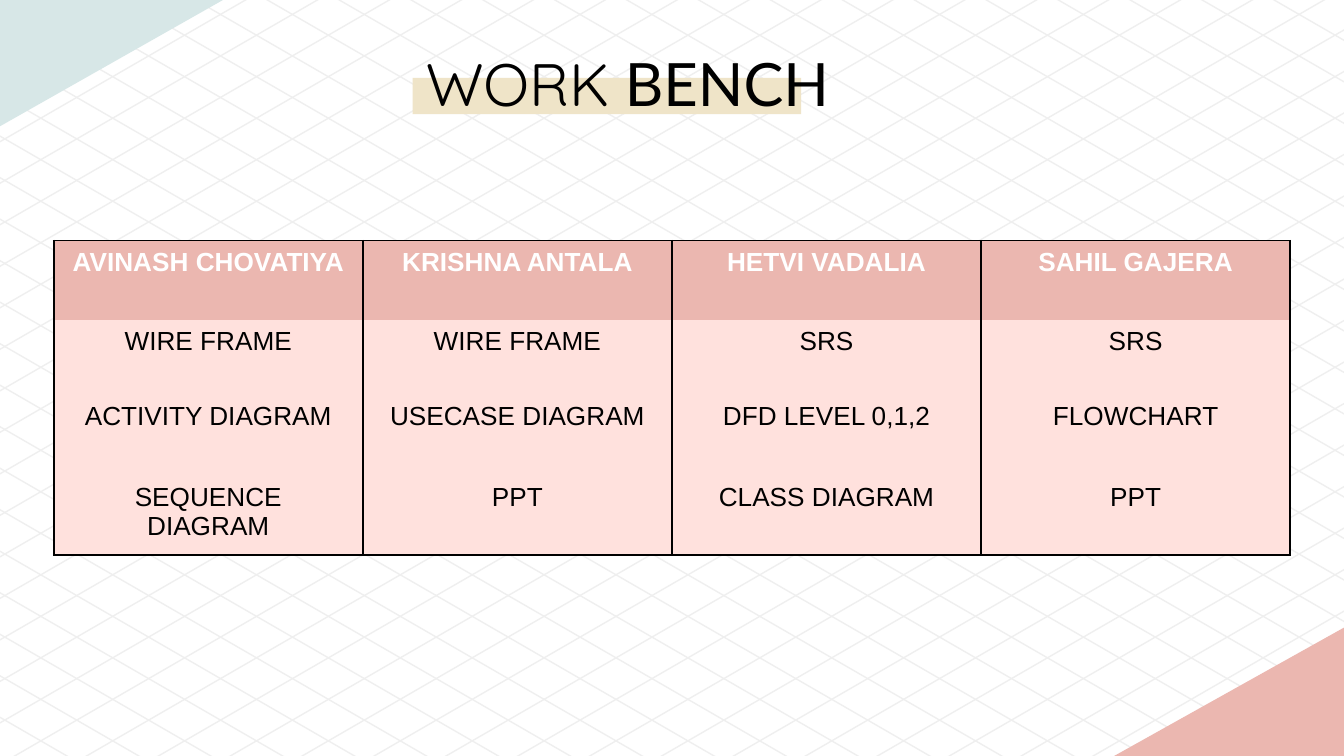
from dataclasses import dataclass
from math import radians, tan

from lxml.etree import SubElement
from pptx import Presentation
from pptx.dml.color import RGBColor
from pptx.enum.shapes import MSO_CONNECTOR as Connector, MSO_SHAPE as Shape
from pptx.enum.text import MSO_AUTO_SIZE as AutoSize, PP_ALIGN as Align
from pptx.oxml.ns import qn
from pptx.util import Inches, Pt

WIDTH = 10
HEIGHT = WIDTH * 9 / 16
TITLE = [("WORK", "Quicksand"), (" BENCH", "Lato")]
TASKS = [
    ["AVINASH CHOVATIYA", "KRISHNA ANTALA", "HETVI VADALIA", "SAHIL GAJERA"],
    ["WIRE FRAME", "WIRE FRAME", "SRS", "SRS"],
    ["ACTIVITY DIAGRAM", "USECASE DIAGRAM", "DFD LEVEL 0,1,2", "FLOWCHART"],
    ["SEQUENCE\nDIAGRAM", "PPT", "CLASS DIAGRAM", "PPT"],
]
ROW_HEIGHTS = [0.59, 0.56, 0.6, 0.59]
COLUMN_WIDTH = 2.3
CORNERS = [
    ([(0, 0.94), (1.66, 0), (0, 0)], "D7E7E7"),
    ([(WIDTH, 4.67), (8.29, HEIGHT), (WIDTH, HEIGHT)], "EBB7B0"),
]
GRID = {"count": 37, "first": 0.3, "last": 11.42, "slope": tan(radians(30)),
        "left": -0.36, "right": 10.1, "top": -0.12, "bottom": 5.87,
        "mirror_shift": 0.25, "mirror_height": 5.63}


@dataclass
class Theme:
    """Colours, fonts and type sizes of the slide."""

    grid: str = "EFEFEF"
    header: str = "EBB7B0"
    body: str = "FFE1DD"
    highlight: str = "EFE4C8"
    ink: str = "000000"
    light: str = "FFFFFF"
    table_font: str = "Arial"
    title_size: float = 32
    table_size: float = 14
    grid_width: float = 0.75
    border_width: float = 1


THEME = Theme()


def color(value):
    """Turn a hex string into a colour."""
    return RGBColor.from_string(value)


def add_text(paragraph, text, *, font, size, ink=THEME.ink, bold=False, align=None):
    """Add one formatted run to a paragraph."""
    paragraph.alignment = align
    run = paragraph.add_run()
    run.text = text
    run.font.name, run.font.size, run.font.bold = font, Pt(size), bold
    run.font.color.rgb = color(ink)


def paint(shape, fill):
    """Give a shape a plain fill without line or shadow."""
    shape.shadow.inherit = False
    shape.fill.solid()
    shape.fill.fore_color.rgb = color(fill)
    shape.line.fill.background()


def add_line(slide, start, end):
    """Draw one thin grid line."""
    line = slide.shapes.add_connector(
        Connector.STRAIGHT, *(Inches(value) for value in (*start, *end)))
    line.line.color.rgb = color(THEME.grid)
    line.line.width = Pt(THEME.grid_width)
    SubElement(line._element.spPr, qn("a:effectLst"))


def add_grid(slide):
    """Draw evenly spaced slanted lines, then their mirrored set."""
    step = (GRID["last"] - GRID["first"]) / (GRID["count"] - 1)
    slope = GRID["slope"]
    falling = []
    for index in range(GRID["count"]):
        edge = GRID["first"] + index * step
        right = min(GRID["right"], WIDTH + (GRID["bottom"] - edge) / slope)
        left = max(GRID["left"], WIDTH + (GRID["top"] - edge) / slope)
        falling.append([(x, edge + (x - WIDTH) * slope) for x in (right, left)])
    rising = [[(x + GRID["mirror_shift"], GRID["mirror_height"] - y) for x, y in ends]
              for ends in falling]
    for start, end in falling + rising:
        add_line(slide, start, end)


def add_corners(slide):
    """Draw the coloured corner triangles."""
    for points, fill in CORNERS:
        first, *rest = [(Inches(x), Inches(y)) for x, y in points]
        builder = slide.shapes.build_freeform(*first, scale=1)
        builder.add_line_segments(rest, close=True)
        paint(builder.convert_to_shape(), fill)


def set_borders(cell, visible):
    """Draw the named cell sides and hide the others."""
    properties = cell._tc.get_or_add_tcPr()
    for side in "LRTB":
        border = SubElement(properties, qn(f"a:ln{side}"), w=str(Pt(THEME.border_width)))
        if side in visible:
            fill = SubElement(border, qn("a:solidFill"))
            SubElement(fill, qn("a:srgbClr"), val=THEME.ink)
        else:
            SubElement(border, qn("a:noFill"))


def add_task_table(slide):
    """Build the table of people and their tasks."""
    rows, columns = len(TASKS), len(TASKS[0])
    table = slide.shapes.add_table(
        rows, columns, Inches(0.4), Inches(1.79),
        Inches(COLUMN_WIDTH * columns), Inches(sum(ROW_HEIGHTS))).table
    table.horz_banding = False
    for column in table.columns:
        column.width = Inches(COLUMN_WIDTH)
    for row, height in zip(table.rows, ROW_HEIGHTS):
        row.height = Inches(height)
    for row_index, texts in enumerate(TASKS):
        header = row_index == 0
        sides = "LR" + "T" * header + "B" * (row_index == rows - 1)
        for column_index, text in enumerate(texts):
            cell = table.cell(row_index, column_index)
            set_borders(cell, sides)
            cell.fill.solid()
            cell.fill.fore_color.rgb = color(THEME.header if header else THEME.body)
            frame = cell.text_frame
            for line_index, line in enumerate(text.split("\n")):
                paragraph = frame.add_paragraph() if line_index else frame.paragraphs[0]
                add_text(paragraph, line, font=THEME.table_font, size=THEME.table_size,
                         ink=THEME.light if header else THEME.ink,
                         bold=header, align=Align.CENTER)


def add_title(slide):
    """Place the title over its highlight bar."""
    bar = slide.shapes.add_shape(
        Shape.RECTANGLE, Inches(3.07), Inches(0.58), Inches(2.89), Inches(0.27))
    paint(bar, THEME.highlight)
    box = slide.shapes.add_textbox(Inches(3.07), Inches(0.3), Inches(5.06), Inches(0.64))
    frame = box.text_frame
    frame.word_wrap = True
    frame.auto_size = AutoSize.SHAPE_TO_FIT_TEXT
    for text, font in TITLE:
        add_text(frame.paragraphs[0], text, font=font, size=THEME.title_size)


def main():
    """Build and save the slide."""
    presentation = Presentation()
    presentation.slide_width, presentation.slide_height = Inches(WIDTH), Inches(HEIGHT)
    slide = presentation.slides.add_slide(presentation.slide_layouts[6])
    add_grid(slide)
    add_corners(slide)
    add_task_table(slide)
    add_title(slide)
    presentation.save("out.pptx")


if __name__ == "__main__":
    main()
